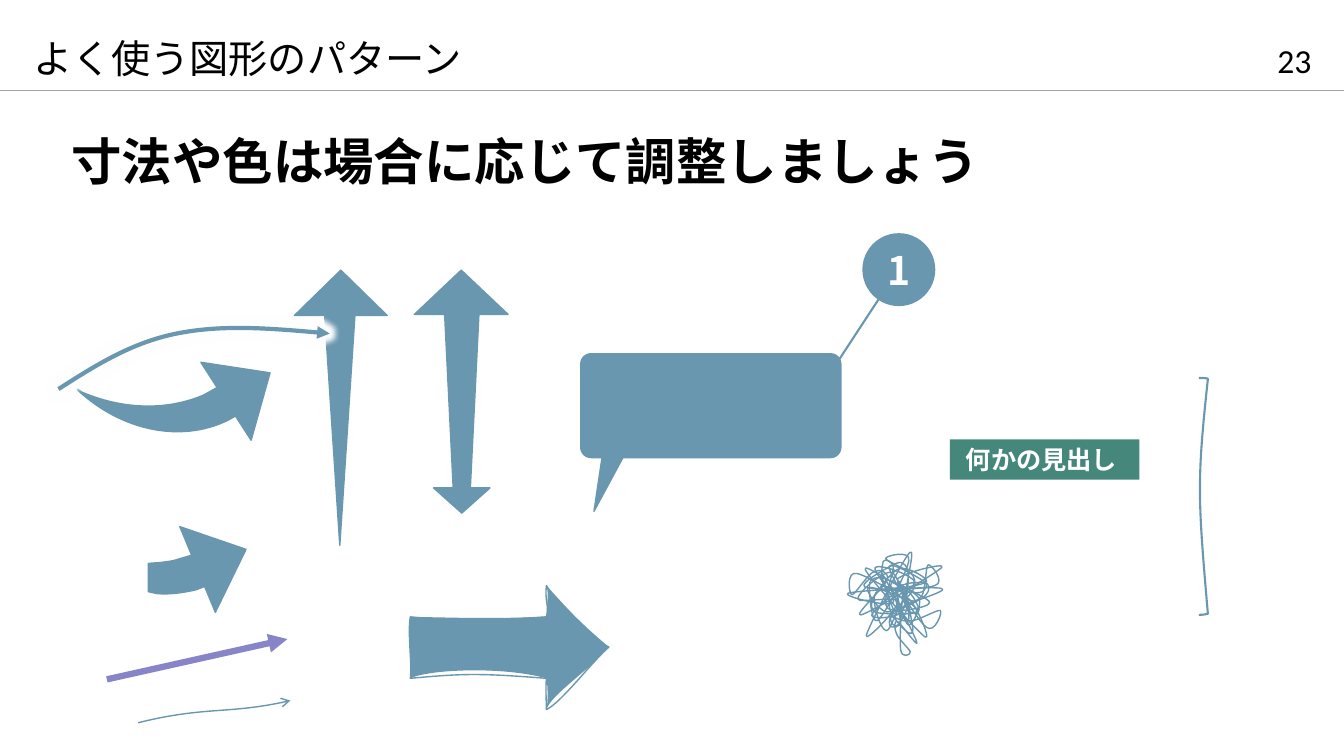
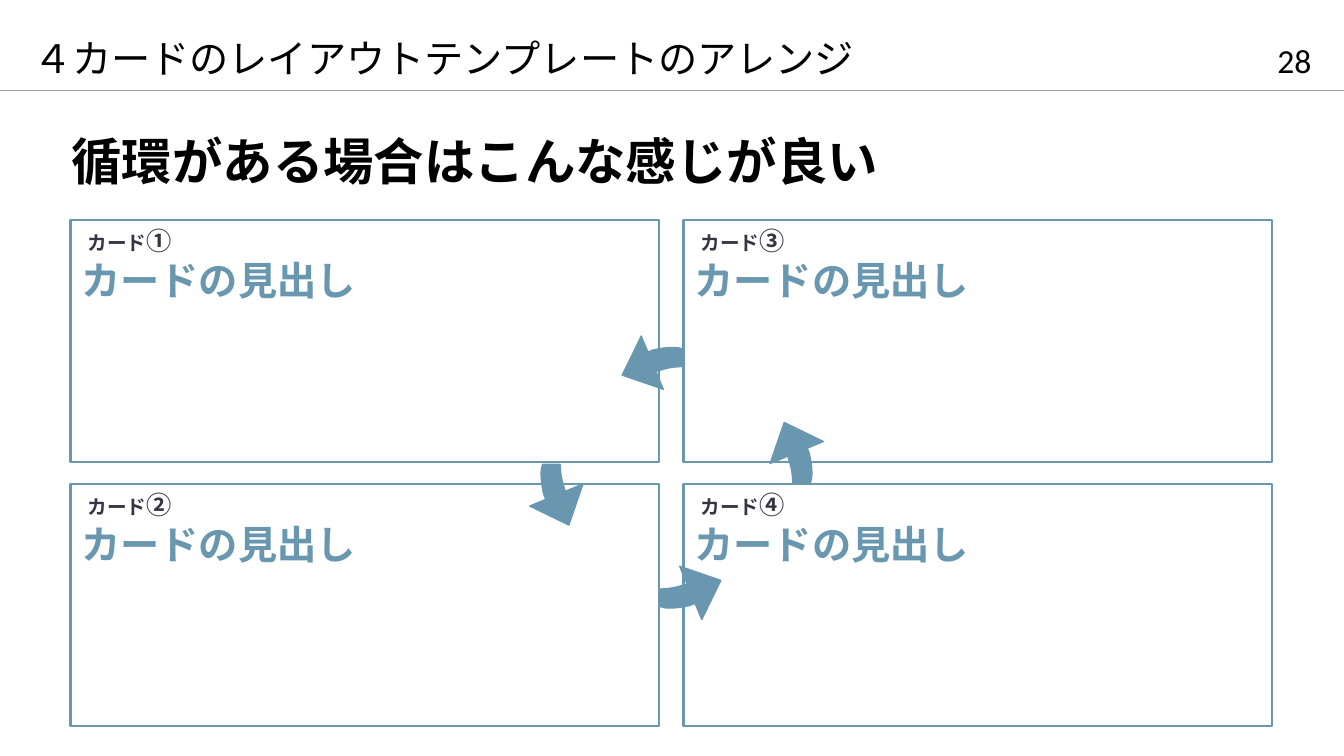
from dataclasses import dataclass
from math import cos, radians, sin
from typing import Optional

from lxml.etree import SubElement
from pptx import Presentation
from pptx.dml.color import RGBColor
from pptx.enum.shapes import MSO_CONNECTOR, MSO_SHAPE as SHAPE
from pptx.enum.text import MSO_ANCHOR as ANCHOR, MSO_AUTO_SIZE as AUTO, PP_ALIGN as ALIGN
from pptx.oxml.ns import qn
from pptx.util import Inches, Pt

BLUE = RGBColor(0x69, 0x97, 0xAF)
GREEN = RGBColor(0x46, 0x87, 0x7B)
PURPLE = RGBColor(0x87, 0x84, 0xC7)
RULE = RGBColor(0xA8, 0x9F, 0xA8)
INK = RGBColor(0x37, 0x35, 0x45)
BLACK = RGBColor(0, 0, 0)
WHITE = RGBColor(0xFF, 0xFF, 0xFF)
JP_FONT = "Noto Sans CJK JP"
NUMBER_FONT = "Calibri"

Outline = list[tuple[float, ...]]


@dataclass(frozen=True)
class Box:
    left: float
    top: float
    width: float
    height: float
    turn: float = 0

    def lengths(self) -> tuple:
        return tuple(Inches(v) for v in (self.left, self.top, self.width, self.height))

    def center(self) -> tuple[float, float]:
        return self.left + self.width / 2, self.top + self.height / 2


@dataclass(frozen=True)
class Style:
    size: float
    color: RGBColor = BLACK
    bold: bool = False
    font: str = JP_FONT
    spacing: Optional[float] = None


@dataclass(frozen=True)
class CurvedArrow:
    x: float
    y: float
    head_turn: float = 67.5
    turn: float = 0
    scale: float = 1


TITLE = Style(36, bold=True, spacing=0.9)
TOPIC = Style(28, spacing=0.8)
PAGE = Style(24, font=NUMBER_FONT)
BADGE = Style(28, WHITE, True)
TAG = Style(18, WHITE, True)
CARD_LABEL = Style(14, INK, True)
CARD_HEADING = Style(28, BLUE, True)

SHORT_BODY: Outline = [
    (-0.27, -0.05), (-0.15, 0.26), (-0.25, 0.3), (-0.38, 0.33, -0.51, 0.35, -0.64, 0.34),
    (-0.73, 0.32), (-0.73, 0.04), (-0.6, 0.03), (-0.54, 0.02, -0.49, 0.02, -0.44, 0)]
LONG_BODY: Outline = [
    (-0.28, -0.01), (-0.11, 0.28), (-0.2, 0.33), (-0.67, 0.56, -1.26, 0.43, -1.69, 0.03),
    (-1.69, 0.02), (-1.65, 0.05), (-1.25, 0.22, -0.82, 0.24, -0.44, 0.08)]
THIN_ARROW: Outline = [(1.37, 7.17), (2.01, 7.01, 2.28, 7.09, 2.88, 6.95)]
SWEEP_ARROW: Outline = [
    (0.58, 3.86), (0.94, 3.63, 1.3, 3.4, 1.75, 3.31), (2.19, 3.22, 2.73, 3.26, 3.27, 3.31)]
BRACKET: Outline = [
    (11.89, 3.75), (11.94, 3.75, 11.98, 3.75, 11.98, 3.76),
    (11.87, 4.78, 11.88, 4.93, 11.98, 6.09), (11.97, 6.09, 11.94, 6.1, 11.89, 6.1)]
SKETCH_OUTLINE: Outline = [
    (4.07, 6.12), (4.56, 6.18, 4.96, 6.15, 5.42, 6.12), (5.45, 6.02, 5.4, 5.95, 5.42, 5.81),
    (5.52, 5.99, 5.91, 6.37, 6.04, 6.42), (5.91, 6.52, 5.57, 6.97, 5.42, 7.04),
    (5.42, 6.99, 5.41, 6.82, 5.42, 6.73), (4.76, 6.68, 4.62, 6.68, 4.07, 6.73),
    (4.09, 6.59, 4.04, 6.28, 4.07, 6.12)]
SKETCH_FILL: Outline = [
    (4.07, 6.12), (4.62, 6.13, 4.8, 6.14, 5.42, 6.12), (5.43, 5.97, 5.44, 5.86, 5.42, 5.81),
    (5.62, 6.03, 5.73, 6.16, 6.04, 6.42), (5.83, 6.66, 5.46, 6.9, 5.42, 7.04),
    (5.43, 7, 5.44, 6.86, 5.42, 6.73), (4.98, 6.61, 4.26, 6.64, 4.07, 6.73),
    (4.07, 6.47, 4.06, 6.24, 4.07, 6.12)]
SCRIBBLE: Outline = [
    (9.1, 6.05), (9.06, 5.98, 8.61, 5.71, 8.5, 5.69), (8.39, 5.66, 8.42, 5.9, 8.45, 5.9),
    (8.48, 5.9, 8.61, 5.69, 8.67, 5.67), (8.73, 5.64, 8.82, 5.68, 8.8, 5.75),
    (8.78, 5.82, 8.45, 6.12, 8.54, 6.1), (8.63, 6.08, 9.28, 5.69, 9.34, 5.63),
    (9.4, 5.57, 8.92, 5.69, 8.9, 5.75), (8.88, 5.81, 9.24, 5.94, 9.22, 5.98),
    (9.21, 6.03, 8.86, 6.09, 8.8, 6.03), (8.74, 5.97, 8.86, 5.71, 8.86, 5.63),
    (8.85, 5.56, 8.77, 5.54, 8.76, 5.57), (8.75, 5.6, 8.72, 5.79, 8.79, 5.82),
    (8.86, 5.86, 9.17, 5.8, 9.19, 5.77), (9.21, 5.74, 9.01, 5.62, 8.92, 5.64),
    (8.84, 5.67, 8.71, 5.85, 8.67, 5.92), (8.63, 5.99, 8.63, 6.07, 8.71, 6.08),
    (8.78, 6.09, 9.13, 6.11, 9.1, 6.05)]
SCRIBBLE_BOXES = [
    Box(8.42, 5.55, 0.92, 0.55), Box(8.49, 5.63, 0.85, 0.59, 82.7),
    Box(8.42, 5.62, 0.92, 0.55, 148.1), Box(8.45, 5.65, 0.92, 0.55, 207.5),
    Box(8.49, 5.97, 0.85, 0.23, 258)]
BLOCKS = [
    (SHAPE.ISOSCELES_TRIANGLE, Box(4.11, 2.68, 0.93, 0.44)),
    (SHAPE.ISOSCELES_TRIANGLE, Box(4.3, 4.84, 0.56, 0.25, 180)),
    (SHAPE.TRAPEZOID, Box(4.41, 3.12, 0.34, 1.72, 180)),
    (SHAPE.ISOSCELES_TRIANGLE, Box(5.88, 4.43, 0.23, 0.66, 198.4)),
    (SHAPE.ISOSCELES_TRIANGLE, Box(2.92, 2.68, 0.92, 0.45)),
    (SHAPE.ISOSCELES_TRIANGLE, Box(3.22, 3.13, 0.3, 2.28, 180))]
CYCLE = [
    CurvedArrow(7, 5.82, scale=0.62), CurvedArrow(7.84, 4.34, turn=-90, scale=0.62),
    CurvedArrow(6.32, 3.66, turn=180, scale=0.62), CurvedArrow(5.58, 5.06, turn=90, scale=0.62)]


def paint(sp, fill: Optional[RGBColor], line: Optional[RGBColor], weight: float = 1) -> None:
    sp.shadow.inherit = False
    if fill is None:
        sp.fill.background()
    else:
        sp.fill.solid()
        sp.fill.fore_color.rgb = fill
    if line is None:
        sp.line.fill.background()
    else:
        sp.line.color.rgb = line
        sp.line.width = Pt(weight)


def add_block(slide, kind, box: Box, fill=BLUE, line=BLUE, weight: float = 1):
    sp = slide.shapes.add_shape(kind, *box.lengths())
    sp.rotation = box.turn
    paint(sp, fill, line, weight)
    return sp


def add_line(slide, start, end, color: RGBColor, weight: float):
    sp = slide.shapes.add_connector(
        MSO_CONNECTOR.STRAIGHT, *(Inches(v) for v in (*start, *end)))
    sp.line.color.rgb = color
    sp.line.width = Pt(weight)
    SubElement(sp._element.spPr, qn("a:effectLst"))
    return sp


def set_end(sp, end: str, kind: str) -> None:
    SubElement(sp._element.spPr.find(qn("a:ln")), qn(f"a:{end}"), type=kind)


def set_glow(sp, color: RGBColor, radius: float, alpha: int) -> None:
    effects = sp._element.spPr.find(qn("a:effectLst"))
    glow = SubElement(effects, qn("a:glow"), rad=str(int(Pt(radius))))
    tint = SubElement(glow, qn("a:srgbClr"), val=str(color))
    SubElement(tint, qn("a:alpha"), val=str(alpha * 1000))


def pairs(step: tuple[float, ...]) -> list[tuple[float, float]]:
    return list(zip(step[::2], step[1::2]))


def place(outline: Outline, origin, target, scale_x: float, scale_y: float,
          turn: float) -> Outline:
    c, s = cos(radians(turn)), sin(radians(turn))
    placed = []
    for step in outline:
        values = []
        for x, y in pairs(step):
            dx, dy = (x - origin[0]) * scale_x, (y - origin[1]) * scale_y
            values += [target[0] + dx * c - dy * s, target[1] + dx * s + dy * c]
        placed.append(tuple(values))
    return placed


def add_outline(slide, outline: Outline, fill=None, line=BLUE, weight: float = 1, close=False):
    first, *rest = [(Inches(x), Inches(y)) for step in outline for x, y in pairs(step)]
    builder = slide.shapes.build_freeform(*first)
    builder.add_line_segments(rest, close=close)
    sp = builder.convert_to_shape()
    geometry = sp._element.spPr.find(f".//{qn('a:path')}")
    segments = iter(geometry.findall(qn("a:lnTo")))
    for step in outline[1:]:
        segment, *controls = [next(segments) for _ in pairs(step)]
        if controls:
            segment.tag = qn("a:cubicBezTo")
        for control in controls:
            segment.append(control[0])
            geometry.remove(control)
    paint(sp, fill, line, weight)
    return sp


def add_curved_arrow(slide, arrow: CurvedArrow, body: Outline) -> None:
    width, height = 0.92 * arrow.scale, 0.52 * arrow.scale
    add_block(slide, SHAPE.ISOSCELES_TRIANGLE,
              Box(arrow.x - width / 2, arrow.y - height / 2, width, height,
                  arrow.head_turn + arrow.turn))
    placed = place(body, (0, 0), (arrow.x, arrow.y), arrow.scale, arrow.scale, arrow.turn)
    add_outline(slide, placed, fill=BLUE, close=True)


def set_font(p, style: Style) -> None:
    p.font.size = Pt(style.size)
    p.font.bold = style.bold
    p.font.color.rgb = style.color
    p.font.name = style.font
    SubElement(p._p.pPr.find(qn("a:defRPr")), qn("a:ea"), typeface=style.font)
    if style.spacing:
        p.line_spacing = style.spacing


def add_text(slide, box: Box, text: str, style: Style, wrap=True, anchor=ANCHOR.TOP):
    sp = slide.shapes.add_textbox(*box.lengths())
    tf = sp.text_frame
    tf.word_wrap = wrap
    tf.auto_size = AUTO.NONE if wrap else AUTO.SHAPE_TO_FIT_TEXT
    tf.vertical_anchor = anchor
    p = tf.paragraphs[0]
    p.add_run().text = text
    set_font(p, style)
    return p


def label_shape(sp, text: str, style: Style, align, anchor) -> None:
    tf = sp.text_frame
    tf.vertical_anchor = anchor
    p = tf.paragraphs[0]
    p.add_run().text = text
    p.alignment = align
    set_font(p, style)


def new_slide(prs, number: int, topic: str, title: str):
    slide = prs.slides.add_slide(prs.slide_layouts[6])
    add_text(slide, Box(12.57, 0.35, 0.61, 0.5), str(number), PAGE, wrap=False)
    add_line(slide, (0, 0.9), (13.33, 0.9), RULE, 1)
    add_text(slide, Box(0.61, 1.11, 12.14, 1.03), title, TITLE, anchor=ANCHOR.MIDDLE)
    add_text(slide, Box(0.23, 0.38, 12.53, 0.51), topic, TOPIC)
    return slide


def build_patterns(prs) -> None:
    slide = new_slide(prs, 23, "よく使う図形のパターン", "寸法や色は場合に応じて調整しましょう")
    add_curved_arrow(slide, CurvedArrow(2.46, 3.84, head_turn=57.2), LONG_BODY)
    add_curved_arrow(slide, CurvedArrow(2.2, 5.55), SHORT_BODY)
    for kind, box in BLOCKS:
        add_block(slide, kind, box)
    balloon = add_block(slide, SHAPE.ROUNDED_RECTANGLE, Box(5.76, 3.51, 2.58, 1.03))
    balloon.adjustments[0] = 0.1

    leader = add_line(slide, (8.17, 3.8), (8.74, 2.93), BLUE, 1.5)
    set_end(leader, "headEnd", "oval")
    badge = add_block(slide, SHAPE.OVAL, Box(8.56, 2.32, 0.71, 0.71))
    label_shape(badge, "1", BADGE, ALIGN.CENTER, ANCHOR.MIDDLE)
    tag = add_block(slide, SHAPE.RECTANGLE, Box(9.42, 4.36, 1.88, 0.4), GREEN, None)
    tag.text_frame.margin_left = Inches(0.16)
    label_shape(tag, "何かの見出し", TAG, ALIGN.LEFT, ANCHOR.TOP)

    thin = add_outline(slide, THIN_ARROW)
    set_end(thin, "tailEnd", "arrow")
    add_outline(slide, BRACKET, weight=1.5)
    straight = add_line(slide, (1.06, 6.74), (2.85, 6.34), PURPLE, 4.5)
    set_end(straight, "tailEnd", "triangle")
    set_glow(straight, PURPLE, 5, 40)
    add_outline(slide, SKETCH_OUTLINE, close=True)
    add_outline(slide, SKETCH_FILL, BLUE, None, close=True)
    sweep = add_outline(slide, SWEEP_ARROW, weight=3)
    set_end(sweep, "tailEnd", "triangle")
    set_glow(sweep, WHITE, 8, 100)

    base = SCRIBBLE_BOXES[0]
    for box in SCRIBBLE_BOXES:
        placed = place(SCRIBBLE, base.center(), box.center(), box.width / base.width,
                       box.height / base.height, box.turn)
        add_outline(slide, placed, close=True)


def build_cards(prs) -> None:
    slide = new_slide(prs, 28, "４カードのレイアウトテンプレートのアレンジ",
                      "循環がある場合はこんな感じが良い")
    for i, mark in enumerate("①②③④"):
        column, row = divmod(i, 2)
        left, top = 0.7 + column * 6.08, 2.18 + row * 2.62
        add_block(slide, SHAPE.RECTANGLE, Box(left, top, 5.84, 2.4), WHITE, BLUE, 1.5)
        p = add_text(slide, Box(left + 0.07, top + 0.01, 1.04, 0.4), "カード",
                     CARD_LABEL, wrap=False)
        r = p.add_run()
        r.text = mark
        r.font.size = Pt(18)
        add_text(slide, Box(left + 0.01, top + 0.31, 2.95, 0.57), "カードの見出し",
                 CARD_HEADING, wrap=False)
    for arrow in CYCLE:
        add_curved_arrow(slide, arrow, SHORT_BODY)


def main() -> None:
    prs = Presentation()
    prs.slide_width, prs.slide_height = Inches(13.33), Inches(7.5)
    build_patterns(prs)
    build_cards(prs)
    prs.save("out.pptx")


if __name__ == "__main__":
    main()
